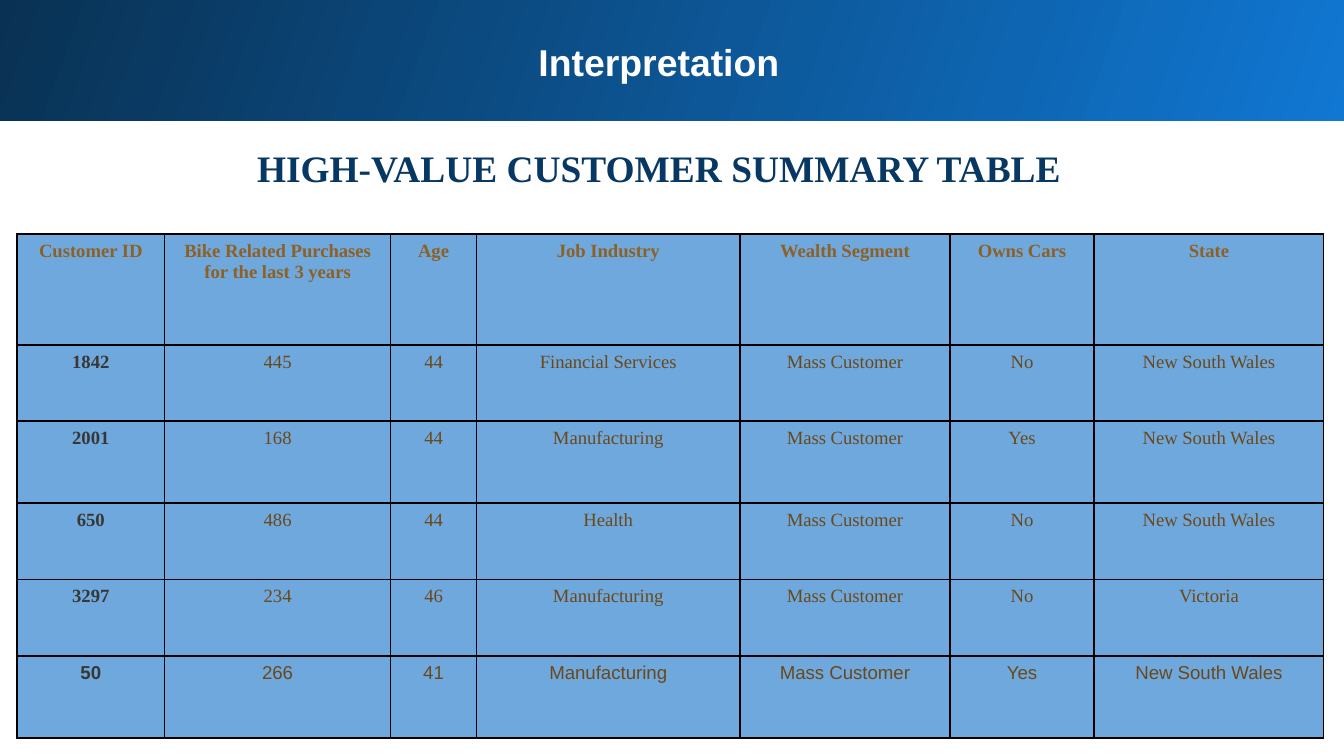
from dataclasses import dataclass

from lxml import etree
from pptx import Presentation
from pptx.dml.color import RGBColor
from pptx.enum.shapes import MSO_SHAPE
from pptx.enum.text import MSO_ANCHOR, PP_ALIGN
from pptx.oxml.ns import qn
from pptx.util import Pt

RECTANGLE = MSO_SHAPE.RECTANGLE
CENTER = PP_ALIGN.CENTER
TOP = MSO_ANCHOR.TOP

WHITE = RGBColor(0xFF, 0xFF, 0xFF)
BLACK = RGBColor(0x00, 0x00, 0x00)
BRIGHT_BLUE = RGBColor(0x10, 0x77, 0xD2)
DARK_BLUE = RGBColor(0x09, 0x31, 0x53)
NAVY = RGBColor(0x07, 0x37, 0x63)
CELL_BLUE = RGBColor(0x6F, 0xA8, 0xDC)
HEADER_BROWN = RGBColor(0x8F, 0x60, 0x24)
BODY_BROWN = RGBColor(0x6B, 0x48, 0x1B)
CHARCOAL = RGBColor(0x37, 0x37, 0x37)

SANS = "Arial"
SERIF = "Times New Roman"
BORDER_SIDES = ("a:lnL", "a:lnR", "a:lnT", "a:lnB")

COLUMN_WIDTHS = (79.2, 121, 46.1, 141.1, 112.5, 77.3, 123)
ROW_HEIGHTS = (59.2, 41, 43.8, 41, 41, 43.8)
ROWS = (
    ("Customer ID", "Bike Related Purchases for the last 3 years", "Age",
     "Job Industry", "Wealth Segment", "Owns Cars", "State"),
    ("1842", "445", "44", "Financial Services", "Mass Customer", "No", "New South Wales"),
    ("2001", "168", "44", "Manufacturing", "Mass Customer", "Yes", "New South Wales"),
    ("650", "486", "44", "Health", "Mass Customer", "No", "New South Wales"),
    ("3297", "234", "46", "Manufacturing", "Mass Customer", "No", "Victoria"),
    ("50", "266", "41", "Manufacturing", "Mass Customer", "Yes", "New South Wales"),
)


@dataclass(frozen=True)
class TextStyle:
    font: str
    size: float
    color: RGBColor
    bold: bool


@dataclass(frozen=True)
class Heading:
    text: str
    top: float
    height: float
    style: TextStyle
    line_spacing: float


HEADINGS = (
    Heading("Interpretation", 13.7, 46, TextStyle(SANS, 20, WHITE, True), 1),
    Heading("HIGH-VALUE CUSTOMER SUMMARY TABLE", 67, 40.3,
            TextStyle(SERIF, 20, NAVY, True), 1.15),
)


def write_text(frame, text: str, style: TextStyle):
    para = frame.paragraphs[0]
    para.text = text
    para.alignment = CENTER
    para.font.name = style.font
    para.font.size = Pt(style.size)
    para.font.bold = style.bold
    para.font.color.rgb = style.color
    return para


def draw_banner(page) -> None:
    banner = page.shapes.add_shape(RECTANGLE, Pt(-1.5), Pt(-1.5), Pt(723.5), Pt(66.3))
    banner.shadow.inherit = False
    banner.line.fill.background()
    banner.fill.gradient()
    banner.fill.gradient_angle = 160
    for stop, color in zip(banner.fill.gradient_stops, (BRIGHT_BLUE, DARK_BLUE)):
        stop.color.rgb = color


def draw_heading(page, heading: Heading) -> None:
    box = page.shapes.add_textbox(Pt(15.8), Pt(heading.top), Pt(674.6), Pt(heading.height))
    frame = box.text_frame
    frame.word_wrap = True
    frame.vertical_anchor = TOP
    frame.margin_left = frame.margin_right = Pt(7.2)
    frame.margin_top = frame.margin_bottom = Pt(7.2)
    para = write_text(frame, heading.text, heading.style)
    para.line_spacing = heading.line_spacing


def add_borders(cell) -> None:
    properties = cell._tc.get_or_add_tcPr()
    for side in BORDER_SIDES:
        line = etree.SubElement(properties, qn(side), w=str(Pt(1)))
        fill = etree.SubElement(line, qn("a:solidFill"))
        etree.SubElement(fill, qn("a:srgbClr"), val=str(BLACK))


def cell_style(row: int, column: int) -> TextStyle:
    font = SANS if row == len(ROWS) - 1 else SERIF
    if row == 0:
        return TextStyle(font, 10, HEADER_BROWN, True)
    if column == 0:
        return TextStyle(font, 10, CHARCOAL, True)
    return TextStyle(font, 10, BODY_BROWN, False)


def draw_table(page) -> None:
    table = page.shapes.add_table(
        len(ROWS), len(COLUMN_WIDTHS), Pt(9), Pt(125.5),
        Pt(sum(COLUMN_WIDTHS)), Pt(sum(ROW_HEIGHTS)),
    ).table
    table.horz_banding = False
    for column, width in zip(table.columns, COLUMN_WIDTHS):
        column.width = Pt(width)
    for row, height in zip(table.rows, ROW_HEIGHTS):
        row.height = Pt(height)
    for row_index, texts in enumerate(ROWS):
        for column_index, text in enumerate(texts):
            cell = table.cell(row_index, column_index)
            add_borders(cell)
            cell.fill.solid()
            cell.fill.fore_color.rgb = CELL_BLUE
            write_text(cell.text_frame, text, cell_style(row_index, column_index))


def main() -> None:
    deck = Presentation()
    deck.slide_width = Pt(720)
    deck.slide_height = Pt(405)
    page = deck.slides.add_slide(deck.slide_layouts[6])
    draw_banner(page)
    for heading in HEADINGS:
        draw_heading(page, heading)
    draw_table(page)
    deck.save("out.pptx")


if __name__ == "__main__":
    main()
